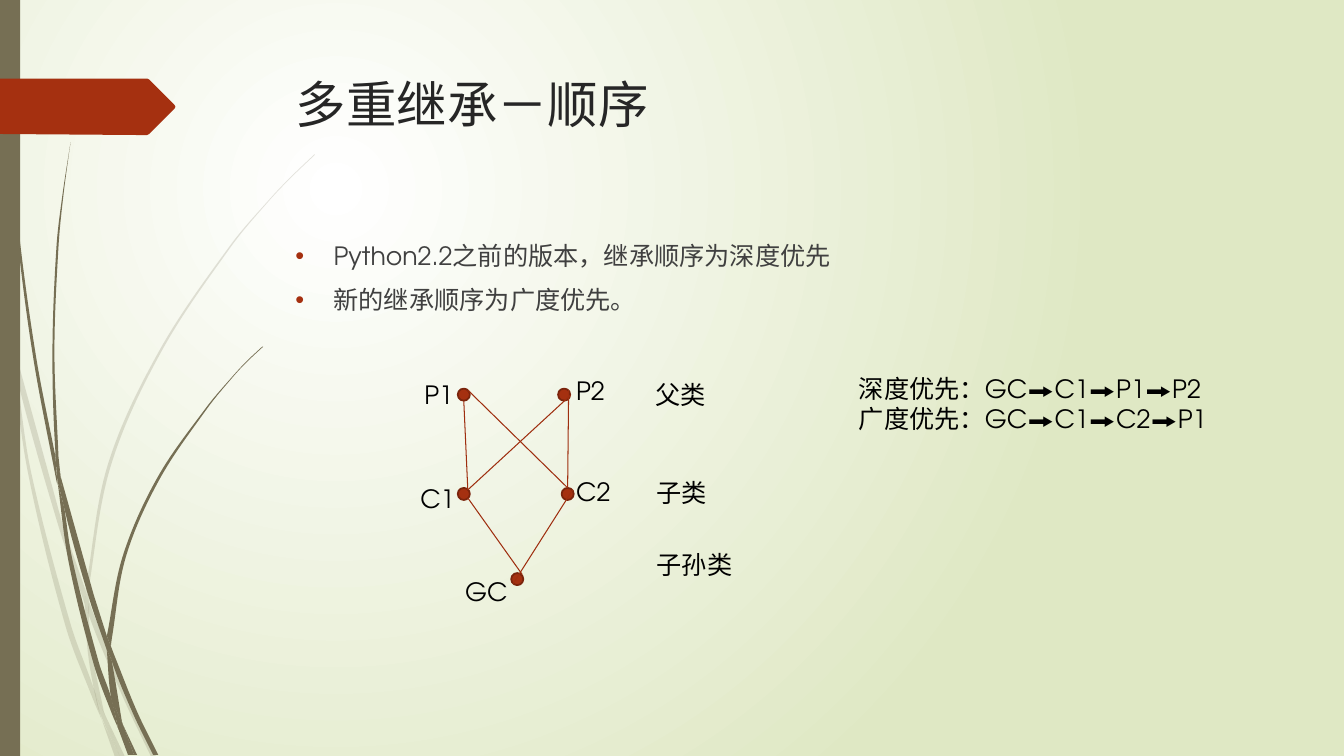
from dataclasses import dataclass
from math import dist
from lxml import etree
from pptx import Presentation
from pptx.dml.color import RGBColor
from pptx.enum.shapes import MSO_CONNECTOR, MSO_SHAPE
from pptx.enum.text import MSO_ANCHOR, MSO_AUTO_SIZE, PP_ALIGN
from pptx.oxml import parse_xml
from pptx.oxml.ns import qn
from pptx.util import Inches, Pt

RECTANGLE, OVAL = MSO_SHAPE.RECTANGLE, MSO_SHAPE.OVAL
STRAIGHT = MSO_CONNECTOR.STRAIGHT
TOP, LEFT = MSO_ANCHOR.TOP, PP_ALIGN.LEFT
FIT_SHAPE = MSO_AUTO_SIZE.SHAPE_TO_FIT_TEXT
DRAWING = "http://schemas.openxmlformats.org/drawingml/2006/main"


@dataclass
class Theme:
    font: str = "TeX Gyre Adventor"
    accent: str = "A53010"
    accent_dark: str = "7A240C"
    link: str = "9E2E0F"
    stem: str = "766F54"
    title: str = "262626"
    body: str = "404040"
    label: str = "000000"
    glow: str = "FFFFFF"
    backdrop: str = "DFE8C4"
    title_size: int = 36
    text_size: int = 18


theme = Theme()
presentation = Presentation()
presentation.slide_width, presentation.slide_height = Inches(13.33), Inches(7.5)
COLUMN = ROW = Inches(0.1)  # 133.3 columns by 75 rows
slide = presentation.slides.add_slide(presentation.slide_layouts[5])
shapes = slide.shapes


def write(text_frame, text, size, color):
    text_frame.text = text
    text_frame.vertical_anchor = TOP
    for paragraph in text_frame.paragraphs:
        paragraph.alignment = LEFT
        for run in paragraph.runs:
            run.font.name, run.font.size = theme.font, Pt(size)
            run.font.color.rgb = RGBColor.from_string(color)


def add_outline(points, color):
    builder = shapes.build_freeform(round(points[0][0] * 1000), round(points[0][1] * 1000),
                                    scale=COLUMN / 1000)
    builder.add_line_segments([(round(x * 1000), round(y * 1000)) for x, y in points[1:]])
    shape = builder.convert_to_shape()
    shape.shadow.inherit = False
    shape.fill.solid()
    shape.fill.fore_color.rgb = RGBColor.from_string(color)
    shape.line.fill.background()
    return shape


# Background: round glow centred a quarter of the way in
background = slide.background.fill
background.solid()
background.fore_color.rgb = RGBColor.from_string(theme.backdrop)
properties = slide.background._cSld.find(qn("p:bg")).find(qn("p:bgPr"))
properties.replace(properties[0], parse_xml(
    f'<a:gradFill xmlns:a="{DRAWING}" rotWithShape="1"><a:gsLst>'
    f'<a:gs pos="0"><a:srgbClr val="{theme.glow}"/></a:gs>'
    f'<a:gs pos="100000"><a:srgbClr val="{theme.backdrop}"/></a:gs></a:gsLst>'
    '<a:path path="circle"><a:fillToRect l="50000" t="50000" r="100000" b="100000"/>'
    '</a:path></a:gradFill>'))

# Grass blades, as pieces: one edge, then the other edge back
faint = [
    ([(1.1, 35), (0.9, 32.2), (0, 28.2)], [(0, 29.9), (1, 34.4)]),
    ([(1.4, 34.5), (1.7, 37.6), (5.8, 52.2), (8.4, 59.9)], [(8.5, 58.6), (6.2, 52)]),
    ([(8.8, 59.6), (8.8, 61), (12.3, 69.4), (15, 75.1)], [(15.5, 75.1), (12.7, 69.2), (9.2, 60.7)]),
    ([(10.5, 71.1), (11.9, 75.1)], [(12.4, 75.1)]),
    ([(1.1, 35), (2.8, 47), (6.5, 62.1), (9.2, 69.3), (10.1, 71.4)],
     [(9.9, 70.7), (9.3, 68.3), (7, 61.9), (3.1, 46.9), (1.7, 37.6)]),
    ([(8.4, 59.9), (8.7, 64.6), (9.3, 68.3), (9.6, 69.2), (10.5, 71.1)],
     [(10.3, 70.6), (9.1, 64.6), (8.8, 61)]),
    ([(31.2, 15.3), (28.9, 17.5), (26.8, 19.7), (22.8, 24.4), (15.8, 34.8), (10.7, 46.1),
      (8.5, 58.4)], [(8.8, 59.6), (8.8, 58.4), (11, 46.2), (16, 34.9), (22.9, 24.5),
                     (26.8, 19.8), (29, 17.5), (31.2, 15.4)]),
    ([(10.1, 71.4), (11.4, 75.1)], [(11.9, 75.1)]),
    ([(8.8, 61), (8.8, 59.6)], [(8.5, 58.6), (8.4, 59.9)]),
    ([(9.3, 68.3), (9.9, 70.7), (11.9, 75.1)], [(10.5, 71.1), (9.6, 69.2)]),
]
bold = [
    ([(0.4, 0), (0.5, 4.8), (0.8, 10.9), (1.9, 23.2), (3.6, 35.5), (5.5, 45.3)],
     [(5.7, 48.1), (5.6, 47.7), (3.3, 35.5), (1.7, 23.3), (0.7, 11), (0.4, 4.8), (0.3, 0)]),
    ([(6, 47.2), (6.4, 50.5), (8.8, 59.2), (10.6, 64.5)], [(10.6, 63.1), (9.3, 59)]),
    ([(11, 64.1), (11.1, 65.6), (13.2, 70.8), (15.2, 74.9)], [(15.7, 74.9), (13.6, 70.6), (11.3, 64.9)]),
    ([(5.7, 47.7), (6.8, 55.7), (9.3, 65.9), (11.1, 70.8), (11.7, 72.2)],
     [(11.6, 71.7), (11, 69.1), (9.8, 65.7), (7.2, 55.6), (6.4, 50.5)]),
    ([(7, 14.1), (6.2, 19.3), (5.6, 24.5), (5.2, 34.9), (5.5, 44.9), (6, 47.2)],
     [(5.8, 45.3), (5.4, 34.9), (5.8, 24.5), (6.3, 19.3), (7, 14.1)]),
    ([(12.2, 71.9), (13.3, 74.9)], [(13.6, 74.9)]),
    ([(5.5, 44.9), (5.5, 45.3), (5.7, 47.7)], [(6.4, 50.5), (6, 47.2)]),
    ([(26, 34.4), (24.5, 35.8), (23.1, 37.3), (20.4, 40.5), (15.6, 47.4), (12.2, 55.1), (10.6, 63.1)],
     [(11, 64.1), (11.1, 63.3), (12.5, 55.2), (15.8, 47.6), (20.5, 40.6), (23.1, 37.4),
      (24.5, 35.9), (26.1, 34.4)]),
    ([(11.7, 72.2), (12.7, 74.9)], [(13.1, 74.9)]),
    ([(10.6, 64.5), (11, 69.1), (11.6, 70.6), (12.2, 71.9)], [(12.1, 71.6), (11.1, 65.6), (10.9, 65.1)]),
    ([(10.6, 64.5), (10.9, 65.1), (11.1, 65.6)], [(11, 64.1), (10.6, 63.1)]),
    ([(11, 69.1), (11.6, 71.7), (11.7, 72.2), (13, 74.9)], [(13.3, 74.9), (12.2, 71.9), (11.6, 70.6)]),
]
for opacity, pieces in [(20, faint), (100, bold)]:
    for edge, back in pieces:
        points = edge + back
        blade = add_outline(points, theme.stem)
        if opacity < 100:
            tint = blade._element.spPr.find(qn("a:solidFill"))[0]
            etree.SubElement(tint, qn("a:alpha")).set("val", str(opacity * 1000))

        # Bend each side into a curve that follows its neighbours
        nodes = list(blade._element.iter(qn("a:pt")))
        spots = [(int(node.get("x")), int(node.get("y"))) for node in nodes]
        corners = {0, len(edge) - 1, len(edge), len(spots) - 1}
        for index, node in enumerate(nodes[1:], start=1):
            start, end = spots[index - 1], spots[index]
            controls = []
            for here, sign in [(index - 1, 1), (index, -1)]:
                first, last = (start, end) if here in corners else (spots[here - 1], spots[here + 1])
                reach = sign * dist(start, end) / 3 / max(dist(first, last), 1)
                controls.append([spots[here][axis] + reach * (last[axis] - first[axis])
                                 for axis in (0, 1)])
            side = node.getparent()
            curve = etree.Element(qn("a:cubicBezTo"))
            for x, y in [*controls, end]:
                etree.SubElement(curve, qn("a:pt"), x=str(round(x)), y=str(round(y)))
            side.getparent().replace(side, curve)

# Left bar
bar = shapes.add_shape(RECTANGLE, 0, 0, 2 * COLUMN, presentation.slide_height)
bar.shadow.inherit = False
bar.fill.solid()
bar.fill.fore_color.rgb = RGBColor.from_string(theme.stem)
bar.line.fill.background()

# Title ribbon, with a point on the right
add_outline([(17.3, 10.8), (14.8, 13.3), (14.6, 13.4), (13.6, 13.4), (0, 13.3), (0, 7.8),
             (13.6, 7.8), (14.6, 7.8), (14.8, 7.9), (17.3, 10.4), (17.4, 10.6)], theme.accent)

# Title
title = shapes.title
title.left, title.top = round(28.35 * COLUMN), round(6.8 * ROW)
title.width, title.height = round(97.5 * COLUMN), 14 * ROW
write(title.text_frame, "多重继承－顺序", theme.title_size, theme.title)

# Bullets
body = shapes.add_textbox(round(28.3 * COLUMN), round(23.35 * ROW),
                          round(97.5 * COLUMN), round(41.3 * ROW))
body.text_frame.word_wrap = True
write(body.text_frame, "Python2.2之前的版本，继承顺序为深度优先\n新的继承顺序为广度优先。",
      theme.text_size, theme.body)
for paragraph in body.text_frame.paragraphs:
    paragraph.space_before = Pt(10)
    settings = paragraph._p.get_or_add_pPr()
    settings.set("marL", str(Inches(0.38)))
    settings.set("indent", str(-Inches(0.38)))
    bullet_color = etree.SubElement(settings, qn("a:buClr"))
    etree.SubElement(bullet_color, qn("a:srgbClr")).set("val", theme.accent)
    etree.SubElement(settings, qn("a:buFont")).set("typeface", "Arial")
    etree.SubElement(settings, qn("a:buChar")).set("char", "•")

# Class nodes
NODE = round(1.2 * COLUMN)
for x, y in [(50.7, 56.85), (45.4, 48.4), (55.7, 48.4), (45.4, 38.55), (55.35, 38.55)]:
    node = shapes.add_shape(OVAL, round(x * COLUMN), round(y * ROW), NODE, NODE)
    node.shadow.inherit = False
    node.fill.solid()
    node.fill.fore_color.rgb = RGBColor.from_string(theme.accent)
    node.line.color.rgb = RGBColor.from_string(theme.accent_dark)
    node.line.width = Pt(1.25)

# Inheritance links
links = [(50.9, 57.9, 56.8, 48.6), (51.8, 57, 46.4, 49.4), (56.3, 48.4, 56.4, 38.7),
         (56.3, 48.4, 46.4, 38.7), (46.4, 48.6, 56.6, 39.2), (46.4, 48.6, 46, 39.8)]
for ends in links:
    link = shapes.add_connector(STRAIGHT, *(round(end * COLUMN) for end in ends))
    link.line.color.rgb = RGBColor.from_string(theme.link)
    link.line.width = Pt(0.75)
    etree.SubElement(link._element.spPr, qn("a:effectLst"))

# Labels and visiting orders
labels = [
    ("父类", 64, 37.15, 7.2), ("子类", 64.15, 46.9, 7.1), ("子孙类", 64.15, 54, 9.6),
    ("深度优先：GC➡️C1➡️P1➡️P2\n广度优先：GC➡️C1➡️C2➡️P1", 84.2, 36.5, 40.3),
    ("GC", 45.15, 56.7, 6.3), ("C2", 56.15, 46.8, 5.5), ("C1", 40.7, 47.5, 5.6),
    ("P1", 41.1, 37.15, 4.9), ("P2", 56.15, 36.75, 4.9),
]
for text, x, y, width in labels:
    label = shapes.add_textbox(round(x * COLUMN), round(y * ROW), round(width * COLUMN), 4 * ROW)
    label.text_frame.word_wrap = "\n" in text
    label.text_frame.auto_size = FIT_SHAPE
    write(label.text_frame, text, theme.text_size, theme.label)

presentation.save("out.pptx")
